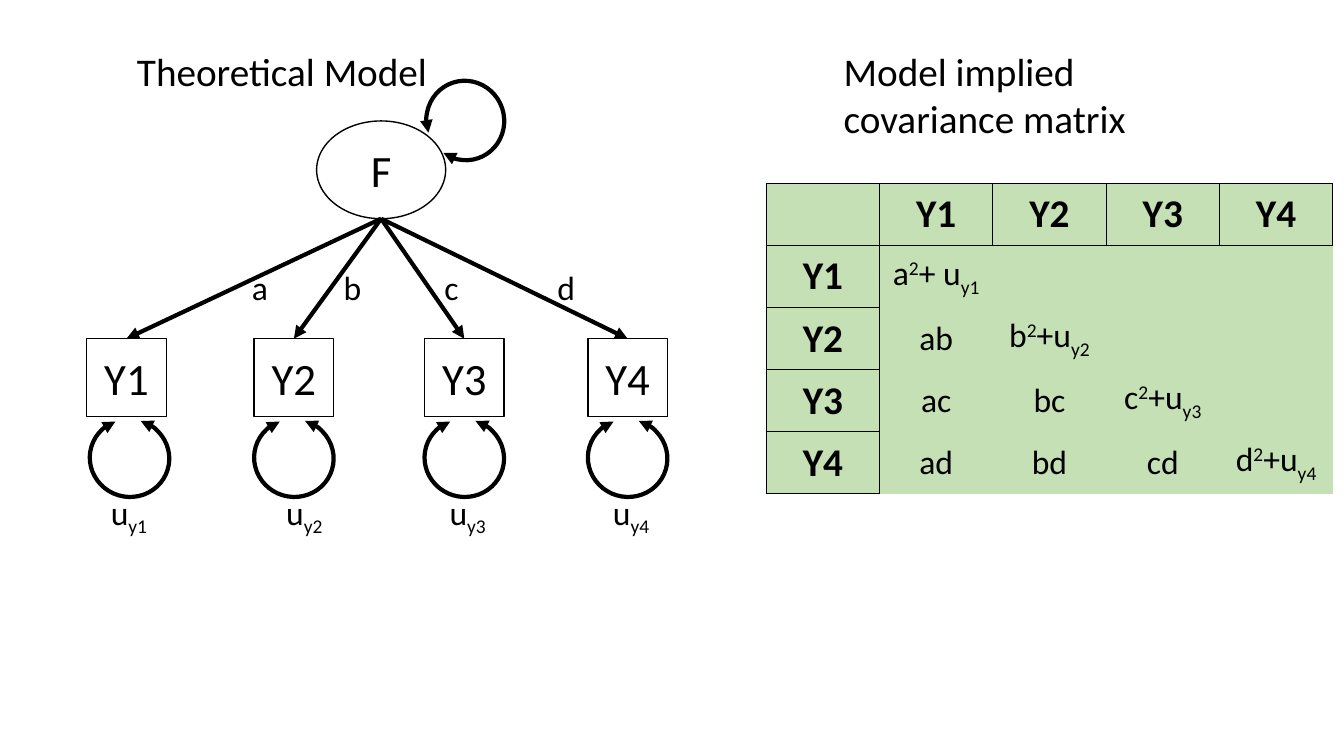
from lxml import etree
from pptx import Presentation
from pptx.dml.color import RGBColor
from pptx.enum.shapes import MSO_CONNECTOR, MSO_SHAPE
from pptx.enum.text import MSO_ANCHOR, PP_ALIGN
from pptx.oxml.ns import qn
from pptx.util import Inches, Pt

RECT, OVAL, ARC = MSO_SHAPE.RECTANGLE, MSO_SHAPE.OVAL, MSO_SHAPE.ARC
STRAIGHT = MSO_CONNECTOR.STRAIGHT
MIDDLE, CENTER, LEFT = MSO_ANCHOR.MIDDLE, PP_ALIGN.CENTER, PP_ALIGN.LEFT
BLACK, WHITE, GREEN = "000000", "FFFFFF", "C5E0B4"
FONT = "Calibri"
SUPER, SUB = 30, -25

# Text is a list of (text, baseline shift in percent)
HEADINGS = [("Theoretical Model", 1.26, 4.48), ("Model implied covariance matrix", 8.27, 4.06)]
FACTOR = ("F", 3.14, 1.2, 1.28, 0.97)
# name, box left, residual loop left, residual label left, loading, loading left
INDICATORS = [
    ("Y1", 0.86, 0.89, 1.0, "a", 2.4),
    ("Y2", 2.52, 2.52, 2.74, "b", 3.31),
    ("Y3", 4.21, 4.21, 4.36, "c", 4.31),
    ("Y4", 5.83, 5.83, 5.98, "d", 5.43),
]
VARIANCES = [("a", "+ u", "y1"), ("b", "+u", "y2"), ("c", "+u", "y3"), ("d", "+u", "y4")]
COVARIANCES = [[], ["ab"], ["ac", "bc"], ["ad", "bd", "cd"]]

BOX_W, BOX_H, BOX_TOP = 0.79, 0.77, 3.36
LOOP_TOP, RESIDUAL_TOP, LOADING_TOP = 4.16, 4.83, 2.6
LABEL_H = 0.5
TABLE_LEFT, TABLE_TOP, TABLE_W, TABLE_H = 7.6, 1.82, 5.62, 3.08


def color(value):
    return RGBColor.from_string(value)


def write(frame, runs, size, align=LEFT, bold=False):
    paragraph = frame.paragraphs[0]
    paragraph.alignment = align
    for text, shift in runs:
        run = paragraph.add_run()
        run.text = text
        if shift:
            run.font._element.set("baseline", str(shift * 1000))
    font = paragraph.font
    font.name, font.size, font.bold = FONT, Pt(size), bold
    font.color.rgb = color(BLACK)


def add_label(runs, left, top, width, height, size):
    frame = slide.shapes.add_textbox(*map(Inches, (left, top, width, height))).text_frame
    frame.word_wrap = True
    write(frame, runs, size)


def set_line(shape, width, *ends):
    shape.line.color.rgb = color(BLACK)
    shape.line.width = Pt(width)
    line = shape.line._get_or_add_ln()
    for end in ends:
        etree.SubElement(line, qn(f"a:{end}"), type="triangle")


def add_variable(kind, name, left, top, width, height):
    """Draw an observed or latent variable."""
    shape = slide.shapes.add_shape(kind, *map(Inches, (left, top, width, height)))
    shape.shadow.inherit = False
    shape.fill.solid()
    shape.fill.fore_color.rgb = color(WHITE)
    set_line(shape, 1)
    shape.text_frame.vertical_anchor = MIDDLE
    write(shape.text_frame, [(name, 0)], 32, CENTER)


def add_loop(left, top, rotation):
    """Draw a variance as a circular double-headed arrow."""
    loop = slide.shapes.add_shape(ARC, *map(Inches, (left, top, BOX_W, BOX_H)))
    loop.shadow.inherit = False
    loop.adjustments[0], loop.adjustments[1] = 162, 139.33
    loop.rotation = rotation
    loop.fill.background()
    set_line(loop, 3, "headEnd", "tailEnd")


def add_path(x1, y1, x2, y2):
    path = slide.shapes.add_connector(STRAIGHT, *map(Inches, (x1, y1, x2, y2)))
    set_line(path, 3, "tailEnd")
    etree.SubElement(path._element.spPr, qn("a:effectLst"))


def set_borders(cell, shown):
    """Draw the sides named in shown and clear the others."""
    properties = cell._tc.get_or_add_tcPr()
    for index, side in enumerate("LRTB"):
        border = etree.Element(qn(f"a:ln{side}"), w=str(Pt(1)))
        if side in shown:
            fill = etree.SubElement(border, qn("a:solidFill"))
            etree.SubElement(fill, qn("a:srgbClr"), val=BLACK)
        else:
            etree.SubElement(border, qn("a:noFill"))
        properties.insert(index, border)


def cell_text(row, column):
    """Give the runs of a cell of the covariance matrix."""
    if row == column == 0:
        return []
    if row == 0 or column == 0:
        return [(INDICATORS[row + column - 1][0], 0)]
    if row == column:
        loading, plus, residual = VARIANCES[row - 1]
        return [(loading, 0), ("2", SUPER), (plus, 0), (residual, SUB)]
    return [(COVARIANCES[row - 1][column - 1], 0)] if column < row else []


def add_matrix():
    count = len(INDICATORS) + 1
    box = map(Inches, (TABLE_LEFT, TABLE_TOP, TABLE_W, TABLE_H))
    table = slide.shapes.add_table(count, count, *box).table
    table.first_row = table.horz_banding = False
    for row in range(count):
        for column in range(count):
            cell = table.cell(row, column)
            cell.fill.solid()
            cell.fill.fore_color.rgb = color(GREEN)
            cell.vertical_anchor = MIDDLE
            is_heading = row == 0 or column == 0
            write(cell.text_frame, cell_text(row, column),
                  28 if is_heading else 24, CENTER, is_heading)
            if is_heading:
                set_borders(cell, "LRTB")
            else:
                set_borders(cell, ("L" if column == 1 else "") + ("T" if row == 1 else ""))


prs = Presentation()
prs.slide_width, prs.slide_height = Inches(13.33), Inches(7.5)
slide = prs.slides.add_slide(prs.slide_layouts[6])

for heading, left, width in HEADINGS:
    add_label([(heading, 0)], left, 0.42, width, 1.04, 28)

add_variable(OVAL, *FACTOR)
_, factor_left, factor_top, factor_w, factor_h = FACTOR
add_loop(4.22, 0.81, 251.7)

for name, box_left, loop_left, residual_left, loading, loading_left in INDICATORS:
    add_variable(RECT, name, box_left, BOX_TOP, BOX_W, BOX_H)
    add_loop(loop_left, LOOP_TOP, 16.7)
    add_label([("u", 0), (name.lower(), SUB)], residual_left, RESIDUAL_TOP, BOX_W, LABEL_H, 24)
    add_path(factor_left + factor_w / 2, factor_top + factor_h, box_left + BOX_W / 2, BOX_TOP)
    add_label([(loading, 0)], loading_left, LOADING_TOP, 0.4, LABEL_H, 24)

add_matrix()
prs.save("out.pptx")
